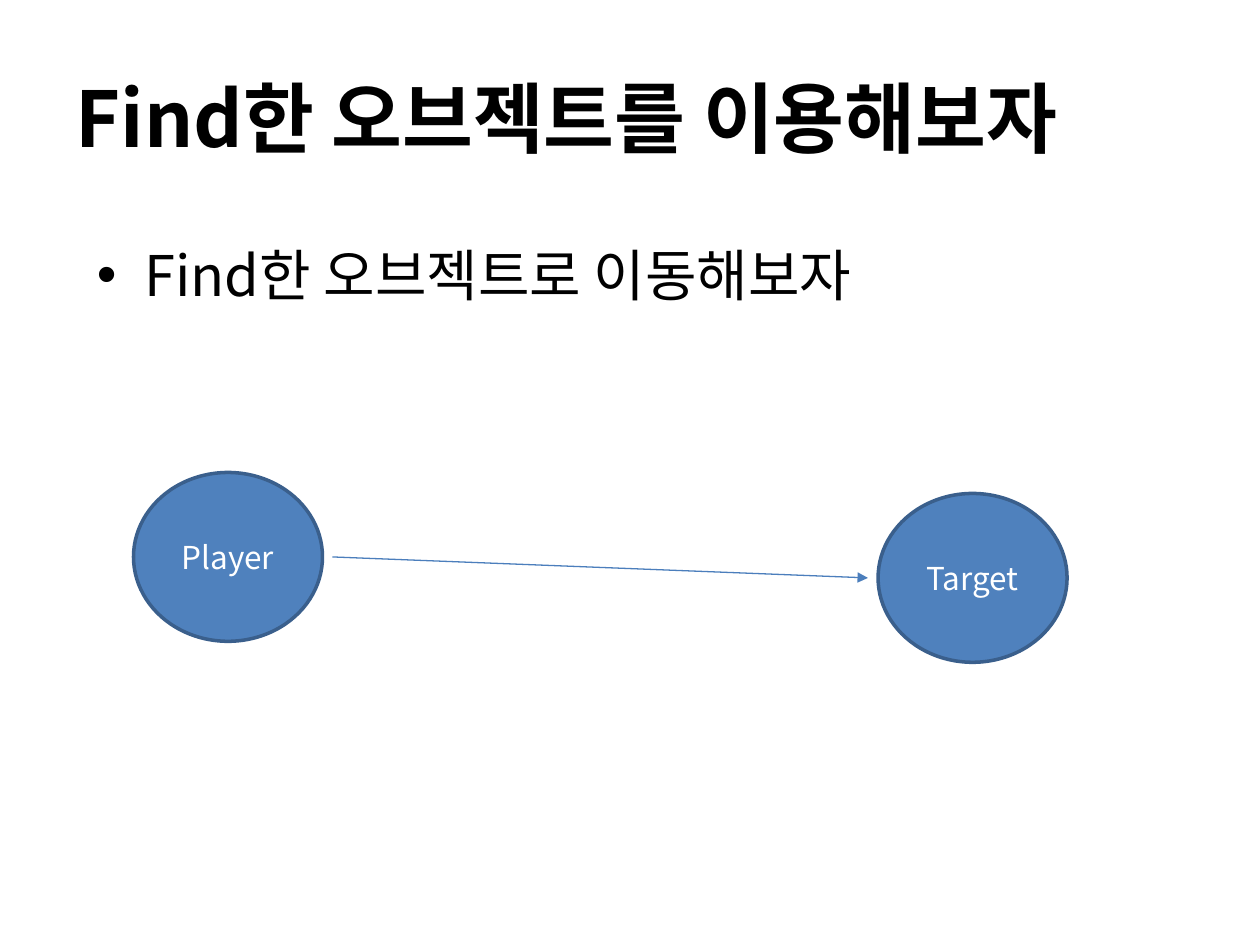
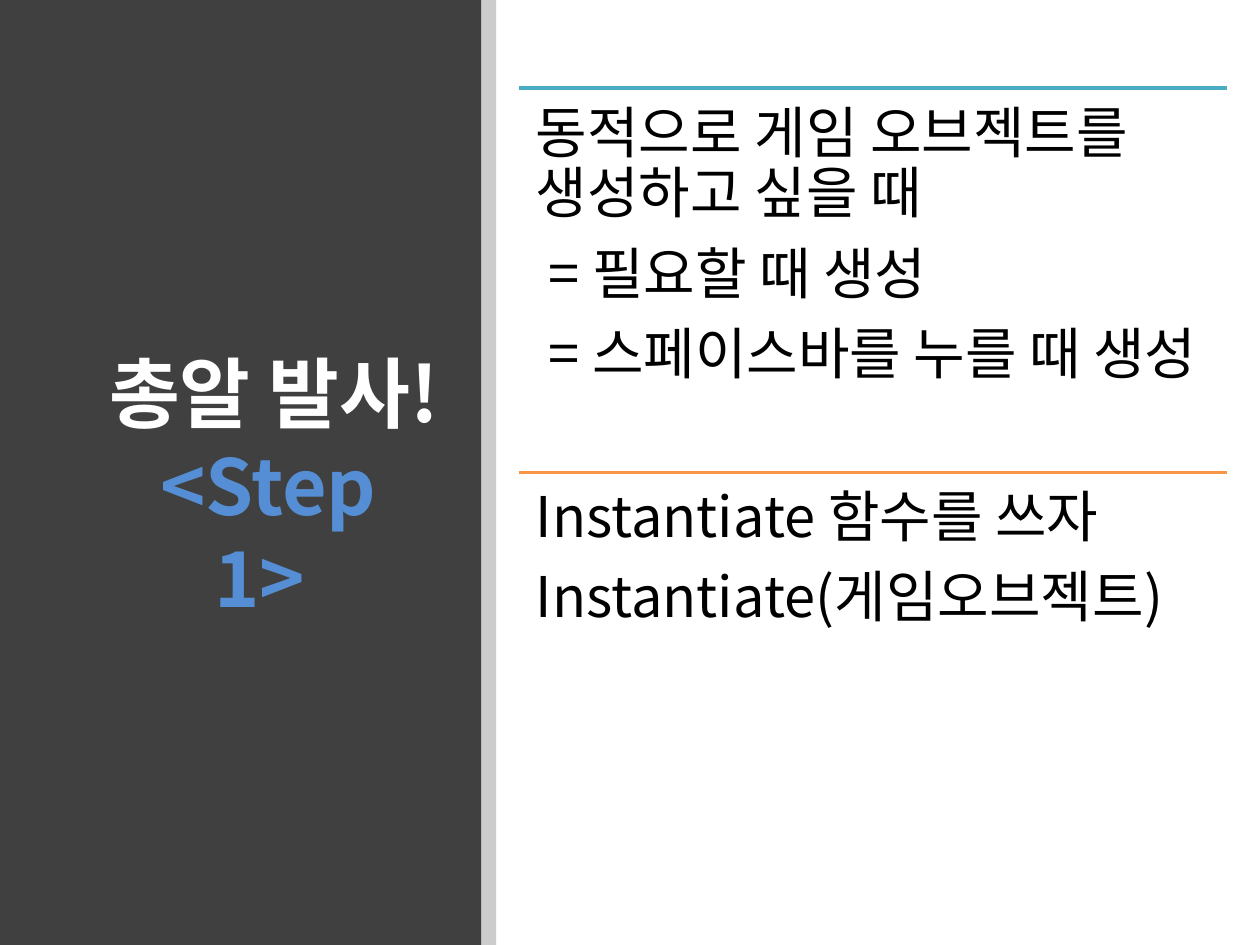
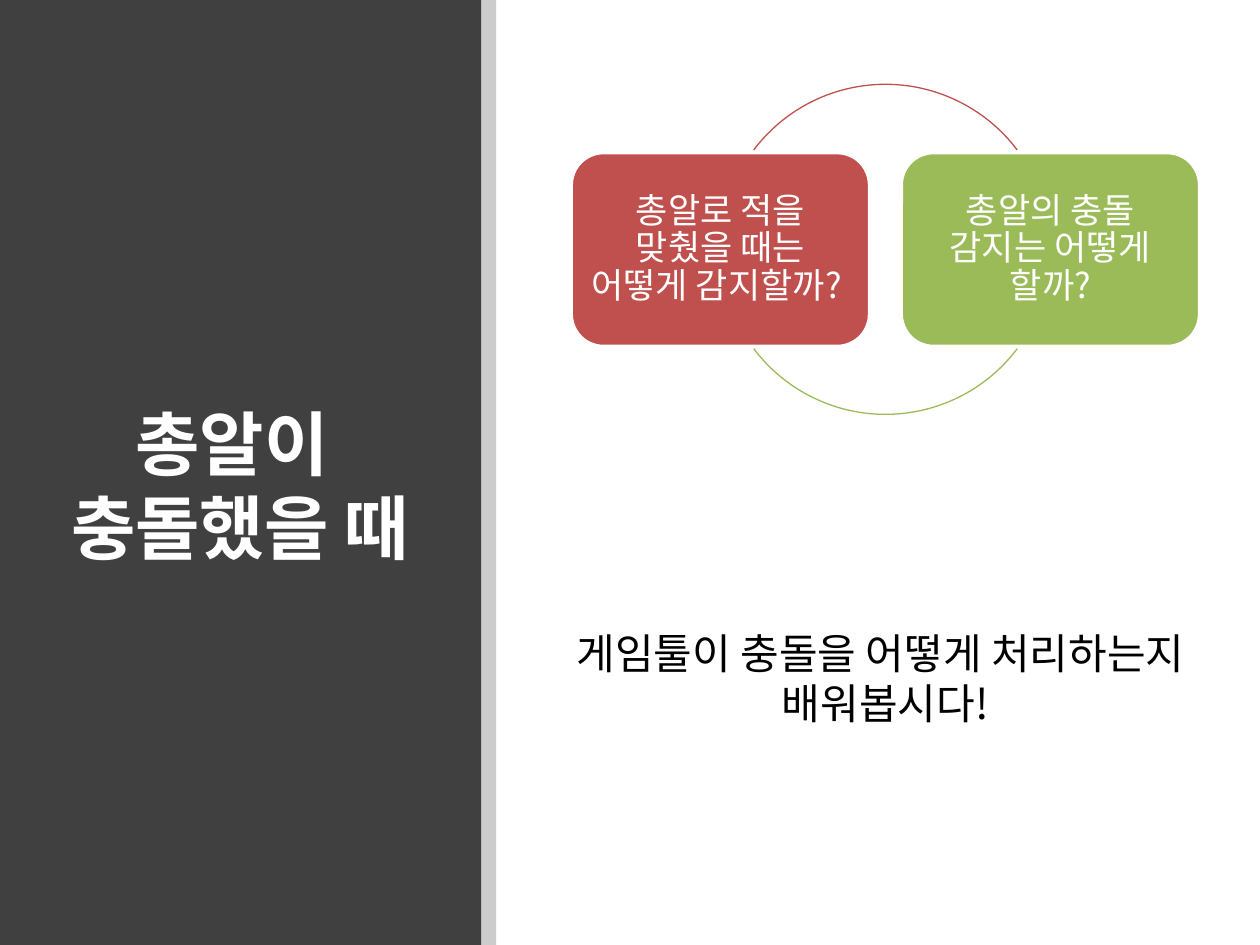
from copy import deepcopy

from lxml.etree import SubElement
from pptx import Presentation
from pptx.dml.color import RGBColor
from pptx.enum.shapes import MSO_CONNECTOR, MSO_SHAPE
from pptx.enum.text import MSO_ANCHOR, MSO_AUTO_SIZE, PP_ALIGN
from pptx.oxml.ns import qn
from pptx.util import Pt

FONT = "Noto Sans CJK KR"
BLACK = RGBColor(0x00, 0x00, 0x00)
WHITE = RGBColor(0xFF, 0xFF, 0xFF)
DARK_GRAY = RGBColor(0x40, 0x40, 0x40)
BLUE = RGBColor(0x4F, 0x81, 0xBD)
DARK_BLUE = RGBColor(0x3A, 0x5F, 0x8C)
ARROW_BLUE = RGBColor(0x4B, 0x7E, 0xBC)
STEP_BLUE = RGBColor(0x55, 0x8E, 0xD5)
TEAL = RGBColor(0x4B, 0xAC, 0xC6)
ORANGE = RGBColor(0xF7, 0x96, 0x46)
RED = RGBColor(0xC0, 0x50, 0x4D)
GREEN = RGBColor(0x9B, 0xBB, 0x59)


def write_text(shape, paragraphs, size, color, bold=False, anchor=MSO_ANCHOR.TOP,
               margin=None, **paragraph_format):
    """Fill a shape with paragraphs, each a list of run texts."""
    frame = shape.text_frame
    frame.word_wrap = True
    frame.auto_size = MSO_AUTO_SIZE.NONE
    frame.vertical_anchor = anchor
    if margin is not None:
        for side in ("left", "top", "right", "bottom"):
            setattr(frame, f"margin_{side}", margin)
    for index, runs in enumerate(paragraphs):
        paragraph = frame.paragraphs[0] if index == 0 else frame.add_paragraph()
        paragraph.text = runs[0]
        for text in runs[1:]:
            paragraph.add_run().text = text
        for name, value in paragraph_format.items():
            setattr(paragraph, name, value)
        for run in paragraph.runs:
            for name, value in {"name": FONT, "size": Pt(size), "bold": bold}.items():
                setattr(run.font, name, value)
            run.font.color.rgb = color
            SubElement(run.font._element, qn("a:ea"), typeface=FONT)


def add_line(slide, start, end, color, width):
    """Draw a straight line without a shadow."""
    points = [Pt(value) for value in (*start, *end)]
    line = slide.shapes.add_connector(MSO_CONNECTOR.STRAIGHT, *points)
    line.line.color.rgb = color
    line.line.width = Pt(width)
    SubElement(line._element.spPr, qn("a:effectLst"))
    return line


presentation = Presentation()
presentation.slide_width = Pt(720)
presentation.slide_height = Pt(540)

# Slide 1: moving the player to the found target
slide = presentation.slides.add_slide(presentation.slide_layouts[1])
title, body = slide.placeholders
for placeholder, box in ((title, (36, 21.6, 648, 90)), (body, (48.2, 133.9, 648, 356.4))):
    placeholder.left, placeholder.top, placeholder.width, placeholder.height = map(Pt, box)
write_text(title, [["Find한 오브젝트를 이용해보자"]], 44, BLACK, bold=True,
           anchor=MSO_ANCHOR.MIDDLE, alignment=PP_ALIGN.LEFT)
write_text(body, [["Find한 오브젝트로 이동해보자"]], 32, BLACK)

for name, left, top in (("Player", 76.3, 270), ("Target", 501.8, 282)):
    circle = slide.shapes.add_shape(MSO_SHAPE.OVAL, Pt(left), Pt(top), Pt(108), Pt(96.5))
    circle.shadow.inherit = False
    circle.fill.solid()
    circle.fill.fore_color.rgb = BLUE
    circle.line.color.rgb = DARK_BLUE
    circle.line.width = Pt(2)
    write_text(circle, [[name]], 18, WHITE, anchor=MSO_ANCHOR.MIDDLE,
               alignment=PP_ALIGN.CENTER)

arrow = add_line(slide, (190, 318.25), (496, 330.25), ARROW_BLUE, 0.75)
SubElement(arrow.line._get_or_add_ln(), qn("a:tailEnd"), type="triangle")

# Slides 2 and 3: dark title panel on the left with a translucent edge
side_titles = (
    (["총알 발사! ", "<Step 1>"], 44, (49.7, 197.3)),
    (["총알이 \v충돌했을 때"], 40, (0, 274.5)),
)
panel_slides = []
for runs, size, (left, width) in side_titles:
    slide = presentation.slides.add_slide(presentation.slide_layouts[5])
    title = slide.shapes.title
    title.left, title.top, title.width, title.height = Pt(left), Pt(64), Pt(width), Pt(425.5)
    write_text(title, [runs], size, WHITE, bold=True, anchor=MSO_ANCHOR.MIDDLE,
               alignment=PP_ALIGN.CENTER)
    for band_left, band_width, color in ((0, 275, DARK_GRAY), (275, 8.5, BLACK)):
        band = slide.shapes.add_shape(
            MSO_SHAPE.RECTANGLE, Pt(band_left), 0, Pt(band_width), Pt(540))
        band.shadow.inherit = False
        band.fill.solid()
        band.fill.fore_color.rgb = color
        band.line.fill.background()
        if color == DARK_GRAY:
            title._element.addprevious(band._element)
        else:
            color_element = band._element.spPr.find(".//" + qn("a:srgbClr"))
            SubElement(color_element, qn("a:alpha"), val="20000")
    panel_slides.append(slide)
shooting_slide, collision_slide = panel_slides

# Slide 2: coloured step in the title and two ruled sections
step_run = shooting_slide.shapes.title.text_frame.paragraphs[0].runs[1]
step_run.font.color.rgb = STEP_BLUE

sections = (
    (TEAL, [["동적으로 게임 오브젝트를 생성하고 싶을 때"],
            [" = 필요할 때 생성"],
            [" = 스페이스바를 누를 때 생성"]]),
    (ORANGE, [["Instantiate 함수를 쓰자"],
              ["Instantiate(게임오브젝트)"]]),
)
section_left, section_width, section_height = 296.6, 404.7, 219.6
for index, (color, paragraphs) in enumerate(sections):
    top = 50.4 + index * section_height
    add_line(shooting_slide, (section_left, top), (section_left + section_width, top), color, 2)
    section = shooting_slide.shapes.add_textbox(
        Pt(section_left), Pt(top), Pt(section_width), Pt(section_height))
    write_text(section, paragraphs, 32, BLACK, margin=Pt(9.6),
               line_spacing=0.9, space_after=Pt(11.2))

# Slide 3: the title's line break takes the size of its text
title_paragraph = collision_slide.shapes.title.text_frame.paragraphs[0]
line_break = title_paragraph._p.find(qn("a:br"))
line_break.append(deepcopy(title_paragraph.runs[0].font._element))

# Slide 3: two questions joined by arcs of one circle
questions = (
    ("총알로 적을 맞췄을 때는 어떻게 감지할까? ", RED, 326.4, (217, 323)),
    ("총알의 충돌 감지는 어떻게 할까?", GREEN, 515, (37, 143)),
)
for question, color, left, angles in questions:
    card = collision_slide.shapes.add_shape(
        MSO_SHAPE.ROUNDED_RECTANGLE, Pt(left), Pt(87.2), Pt(170.5), Pt(110.8))
    card.shadow.inherit = False
    card.fill.solid()
    card.fill.fore_color.rgb = color
    card.line.color.rgb = WHITE
    card.line.width = Pt(2)
    write_text(card, [[question]], 20, WHITE, anchor=MSO_ANCHOR.MIDDLE, margin=Pt(6),
               alignment=PP_ALIGN.CENTER, line_spacing=0.9, space_after=Pt(7))

    arc = collision_slide.shapes.add_shape(
        MSO_SHAPE.ARC, Pt(411.7), Pt(48.2), Pt(188.6), Pt(188.6))
    arc.shadow.inherit = False
    arc.fill.background()
    arc.line.color.rgb = color
    arc.line.width = Pt(0.75)
    for index, degrees in enumerate(angles):
        arc.adjustments[index] = degrees * 0.6

# Slide 3: closing sentence
closing = collision_slide.shapes.add_textbox(Pt(307.5), Pt(355), Pt(396.7), Pt(65.5))
write_text(closing, [["게임툴이 충돌을 어떻게 처리하는지 "], ["배워봅시다!"]], 24, BLACK,
           alignment=PP_ALIGN.CENTER)

presentation.save("out.pptx")
